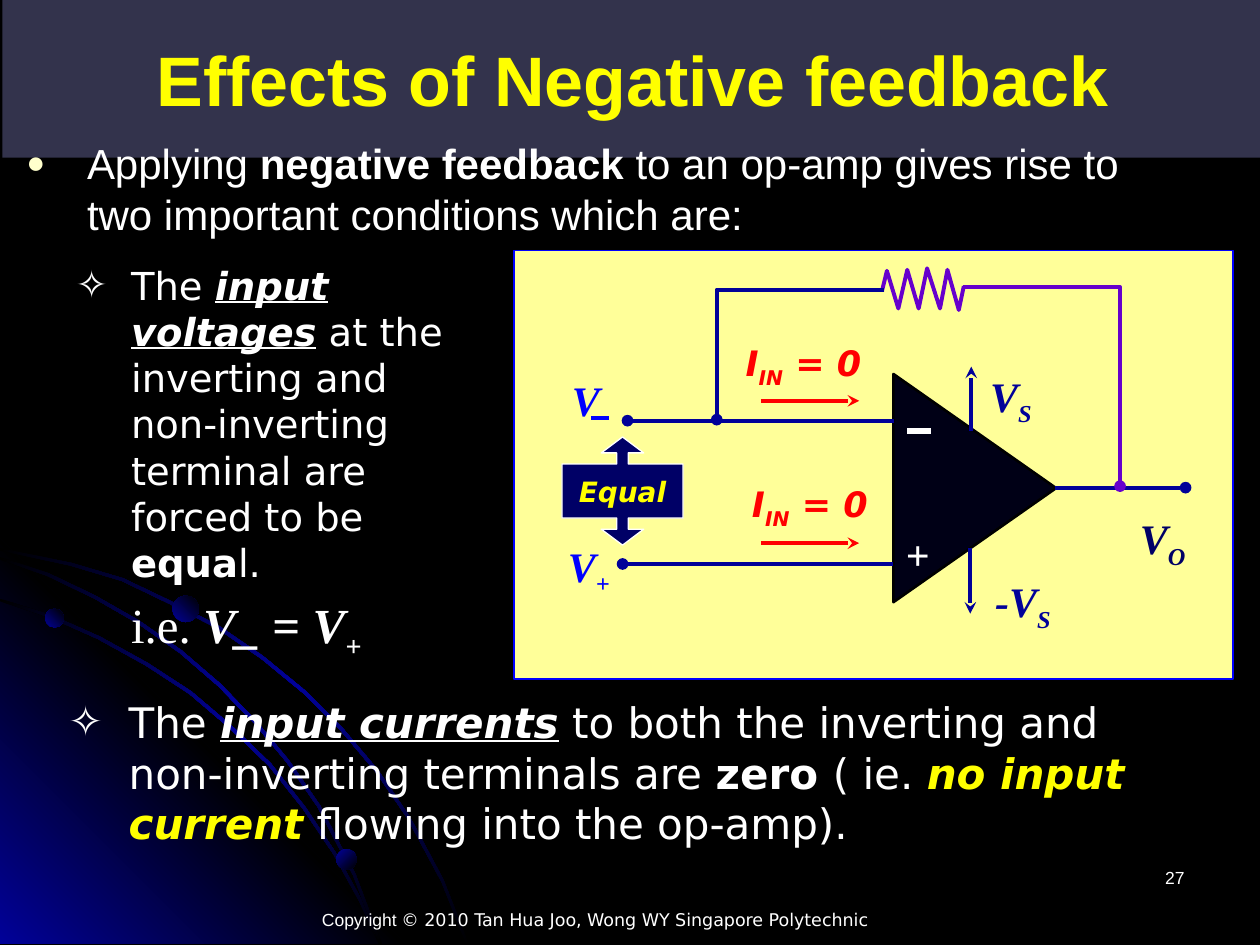
from lxml import etree
from pptx import Presentation
from pptx import util as u
from pptx.dml import color as dml
from pptx.enum import shapes, text
from pptx.oxml import ns

Cm, Pt = u.Cm, u.Pt
SANS, ARIAL, SERIF = "DejaVu Sans", "Arial", "Times New Roman"
COLORS = {
    "black": "000000", "white": "FFFFFF", "banner": "33334C", "yellow": "FFFF00",
    "panel": "FFFF99", "blue": "0000FF", "wire": "010199", "purple": "6600CC",
    "red": "FF0000", "amp": "000016", "navy": "000066", "cream": "FFFFCC",
}
STRONG = {"bold": True}
SLANTED = {"bold": True, "italic": True}
KEY_TERM = {"bold": True, "italic": True, "underline": True}

ARCS = [
    [(0, 11.05), (1.45, 11.35), (2.49, 11.66), (3.45, 12.12), (4.42, 12.62), (5.31, 13.23),
     (6.15, 13.92), (6.91, 14.68), (7.62, 15.52), (8.26, 16.46), (8.94, 17.73), (9.45, 19.02)],
    [(0, 12.07), (1.04, 12.4), (2.01, 12.83), (2.97, 13.36), (3.86, 13.94), (4.67, 14.63),
     (5.46, 15.39), (6.15, 16.26), (6.76, 17.17), (7.26, 18.08), (7.7, 19.02)],
    [(0, 11.23), (0.99, 11.56), (1.93, 12.01), (2.82, 12.52), (3.66, 13.11), (4.45, 13.79),
     (5.18, 14.55), (5.82, 15.32), (6.45, 16.23), (7.16, 17.6), (7.7, 19.02)],
]
RESISTOR = [(17.78, 5.87), (17.88, 5.46), (18.11, 6.22), (18.29, 5.44), (18.52, 6.22),
            (18.69, 5.41), (18.95, 6.22), (19.1, 5.44), (19.33, 6.25), (19.43, 5.77)]


def rgb(name):
    return dml.RGBColor.from_string(COLORS[name])


def add_xml(parent, tag, **attributes):
    return etree.SubElement(parent, ns.qn(tag), attributes)


# Text
def write(para, runs, size=24, font=SANS, color="white", align=None, **shared):
    """Add (text, format) runs; each format overrides the shared one."""
    para.alignment = align
    for words, own in runs:
        look = {"size": size, "font": font, "color": color, **shared, **own}
        span = para.add_run()
        span.text = words
        span.font.size, span.font.name = Pt(look["size"]), look["font"]
        span.font.color.rgb = rgb(look["color"])
        span.font.bold = look.get("bold", False)
        span.font.italic = look.get("italic", False)
        span.font.underline = look.get("underline", False)
        if look.get("sub"):
            span._r.get_or_add_rPr().set("baseline", "-25000")


def set_bullet(para, left, hanging, char=None, color=None, percent=None):
    props = para._p.get_or_add_pPr()
    props.set("marL", str(Cm(left)))
    props.set("indent", str(-Cm(hanging)))
    if color:
        add_xml(add_xml(props, "a:buClr"), "a:srgbClr", val=COLORS[color])
    if percent:
        add_xml(props, "a:buSzPct", val=str(percent * 1000))
    if char:
        add_xml(props, "a:buChar", char=char)
    else:
        add_xml(props, "a:buNone")
    para.space_before = Pt(0)


def place(holder, left, top, width, height, anchor=text.MSO_ANCHOR.TOP):
    """Position a placeholder in front of what is already drawn."""
    holder.left, holder.top, holder.width, holder.height = map(Cm, (left, top, width, height))
    holder._element.getparent().append(holder._element)
    frame = holder.text_frame
    frame.auto_size, frame.word_wrap = text.MSO_AUTO_SIZE.NONE, True
    frame.vertical_anchor = anchor
    return frame.paragraphs[0]


def add_label(page, left, top, width, runs, **look):
    box = page.shapes.add_textbox(Cm(left), Cm(top), Cm(width), Cm(1.2))
    box.text_frame.word_wrap = True
    write(box.text_frame.paragraphs[0], runs, **look)


# Shapes
def paint(shape, fill=None, line=None, weight=0.75):
    shape.shadow.inherit = False
    if fill:
        shape.fill.solid()
        shape.fill.fore_color.rgb = rgb(fill)
    else:
        shape.fill.background()
    if line:
        shape.line.color.rgb, shape.line.width = rgb(line), Pt(weight)
    else:
        shape.line.fill.background()


def paint_gradient(shape, names, angle):
    paint(shape)
    props = shape._element.spPr
    old = props.find(ns.qn("a:noFill"))
    gradient = etree.Element(ns.qn("a:gradFill"), rotWithShape="1")
    stops = add_xml(gradient, "a:gsLst")
    for index, name in enumerate(names):
        stop = add_xml(stops, "a:gs", pos=str(100000 * index // (len(names) - 1)))
        add_xml(stop, "a:srgbClr", val=COLORS[name])
    add_xml(gradient, "a:lin", ang=str(angle * 60000), scaled="0")
    props.replace(old, gradient)


def add_shape(page, kind, left, top, width, height):
    return page.shapes.add_shape(kind, Cm(left), Cm(top), Cm(width), Cm(height))


def add_outline(page, points, close):
    corners = [(Cm(x), Cm(y)) for x, y in points]
    builder = page.shapes.build_freeform(*corners[0])
    builder.add_line_segments(corners[1:], close=close)
    return builder.convert_to_shape()


def set_tail(shape, tail):
    add_xml(shape.line._get_or_add_ln(), "a:tailEnd", type=tail)


def add_wire(page, points, color="wire", tail=None):
    wire = add_outline(page, points, close=False)
    paint(wire, line=color, weight=2.25)
    if tail:
        set_tail(wire, tail)


def add_line(page, start, end, color="wire", weight=2.25, tail=None):
    line = page.shapes.add_connector(shapes.MSO_CONNECTOR.STRAIGHT, *map(Cm, start + end))
    line.line.color.rgb, line.line.width = rgb(color), Pt(weight)
    if tail:
        set_tail(line, tail)
    add_xml(line._element.spPr, "a:effectLst")


# Parts of the slide
def draw_backdrop(page):
    page.background.fill.solid()
    page.background.fill.fore_color.rgb = rgb("black")
    corner = [(0, 10.85), (8.18, 19.03), (0, 19.03)]
    paint_gradient(add_outline(page, corner, True), ("wire", "black", "wire"), 315)
    for arc in ARCS:
        inner = [(max(x - 0.04, 0), y + 0.05) for x, y in reversed(arc)]
        paint_gradient(add_outline(page, arc + inner, True), ("black", "wire", "black"), 45)
    for left, top, size, angle in ((0.91, 12.27, 0.38, 315), (6.78, 17.12, 0.41, 45),
                                   (3.48, 12.01, 0.53, 315)):
        ball = add_shape(page, shapes.MSO_SHAPE.OVAL, left, top, size, size)
        paint_gradient(ball, ("wire", "black"), angle)


def fill_placeholders(page):
    title, intro, voltages, currents, spare = page.placeholders
    spare._element.getparent().remove(spare._element)

    paint(title, "banner")
    para = place(title, 0.05, 0, 25.4, 3.18, text.MSO_ANCHOR.MIDDLE)
    write(para, [("Effects of Negative feedback", STRONG)], size=40, font=ARIAL,
          color="yellow", align=text.PP_ALIGN.CENTER)

    para = place(intro, 0.28, 2.65, 23.09, 2.72)
    set_bullet(para, 1.22, 1.22, "●", "cream", 75)
    write(para, [("Applying ", {}), ("negative feedback", STRONG),
                 (" to an op-amp gives rise to two important conditions which are:", {})],
          font=ARIAL)

    para = place(voltages, 0, 5.15, 9.55, 8.2)
    set_bullet(para, 2.39, 1.12, "✧")
    write(para, [("The ", {}), ("input voltages", KEY_TERM),
                 (" at the inverting and non-inverting terminal are forced to be ", {}),
                 ("equa", STRONG), ("l.", {})], size=22)
    para = voltages.text_frame.add_paragraph()
    set_bullet(para, 2.39, 0)
    para.space_before = Pt(5.6)
    write(para, [("i.e. ", {}), ("V_", SLANTED), (" = ", STRONG), ("V", SLANTED),
                 ("+", {**SLANTED, "sub": True})], size=28, font=SERIF)

    para = place(currents, 1.12, 13.92, 22.78, 3.3)
    set_bullet(para, 1.22, 1.22, "✧")
    write(para, [("The ", {}), ("input currents", KEY_TERM),
                 (" to both the inverting and non-inverting terminals are ", {}),
                 ("zero ", STRONG), ("( ie. ", {}),
                 ("no input current", {**SLANTED, "color": "yellow"}),
                 (" flowing into the op-amp).", {})])


def draw_circuit(page):
    panel = add_shape(page, shapes.MSO_SHAPE.RECTANGLE, 10.36, 5.05, 14.5, 8.64)
    paint(panel, "panel", "blue")

    # Zero input currents
    for arrow_y, left, top in ((8.08, 14.78, 6.76), (10.95, 14.91, 9.6)):
        add_line(page, (15.34, arrow_y), (17.32, arrow_y), "red", tail="stealth")
        add_label(page, left, top, 3.3, [("I", {}), ("IN", {"sub": True}), (" = 0", {})],
                  size=20, color="red", **SLANTED)

    # Amplifier, terminals and supplies
    amp = add_shape(page, shapes.MSO_SHAPE.ISOSCELES_TRIANGLE, 17.35, 8.2, 4.6, 3.28)
    amp.rotation = 90
    paint(amp, "amp", "black", 1.5)
    add_line(page, (18.03, 8.48), (12.65, 8.48), tail="oval")
    add_line(page, (18.01, 11.37), (12.55, 11.37), tail="oval")
    add_line(page, (21.26, 9.83), (23.9, 9.83), tail="oval")
    add_line(page, (19.58, 8.69), (19.58, 7.39), tail="stealth")
    add_line(page, (19.56, 11.05), (19.56, 12.37), tail="stealth")
    add_line(page, (18.29, 8.69), (18.77, 8.69), "white", 3)
    add_line(page, (11.91, 8.43), (12.27, 8.43), "blue")

    # Feedback loop
    add_wire(page, RESISTOR, "purple")
    add_wire(page, [(17.83, 5.84), (14.45, 5.84), (14.45, 8.46)], tail="oval")
    add_wire(page, [(19.41, 5.79), (22.58, 5.79), (22.58, 9.8)], "purple", "oval")

    # Voltage names
    for left, top, name, sub, color in (
            (11.28, 7.42, "V", "", "blue"), (11.2, 10.77, "V", "+", "blue"),
            (19.81, 11.48, "-V", "S", "wire"), (19.71, 7.34, "V", "S", "wire"),
            (22.73, 10.21, "V", "O", "navy")):
        runs = [(name, {})] + ([(sub, {"sub": True})] if sub else [])
        add_label(page, left, top, 1.93, runs, font=SERIF, color=color, **SLANTED)
    add_label(page, 18.01, 10.52, 1.2, [("+", STRONG)], font=SERIF)

    # Equal-voltage callout
    callout = add_shape(page, shapes.MSO_SHAPE.UP_DOWN_ARROW_CALLOUT, 11.33, 8.81, 2.44, 2.18)
    for index, value in enumerate((0.107, 0.196, 0.147, 0.5)):
        callout.adjustments[index] = value
    paint(callout, "navy", "white")
    callout.text_frame.word_wrap = False
    callout.text_frame.vertical_anchor = text.MSO_ANCHOR.MIDDLE
    write(callout.text_frame.paragraphs[0], [("Equal", SLANTED)], size=16, color="yellow",
          align=text.PP_ALIGN.CENTER)


def main():
    deck = Presentation()
    deck.slide_width, deck.slide_height = Cm(25.4), Cm(19.05)
    page = deck.slides.add_slide(deck.slide_layouts[4])
    draw_backdrop(page)
    fill_placeholders(page)
    draw_circuit(page)
    # Footer
    add_label(page, 4.39, 18.2, 15.21,
              [("Copyright ", {"font": ARIAL}),
               ("© 2010 Tan Hua Joo, Wong WY Singapore Polytechnic", {})],
              size=10, align=text.PP_ALIGN.CENTER)
    add_label(page, 18.21, 17.35, 5.92, [("27", {})], size=10, font=ARIAL,
              align=text.PP_ALIGN.RIGHT)
    deck.save("out.pptx")


if __name__ == "__main__":
    main()
